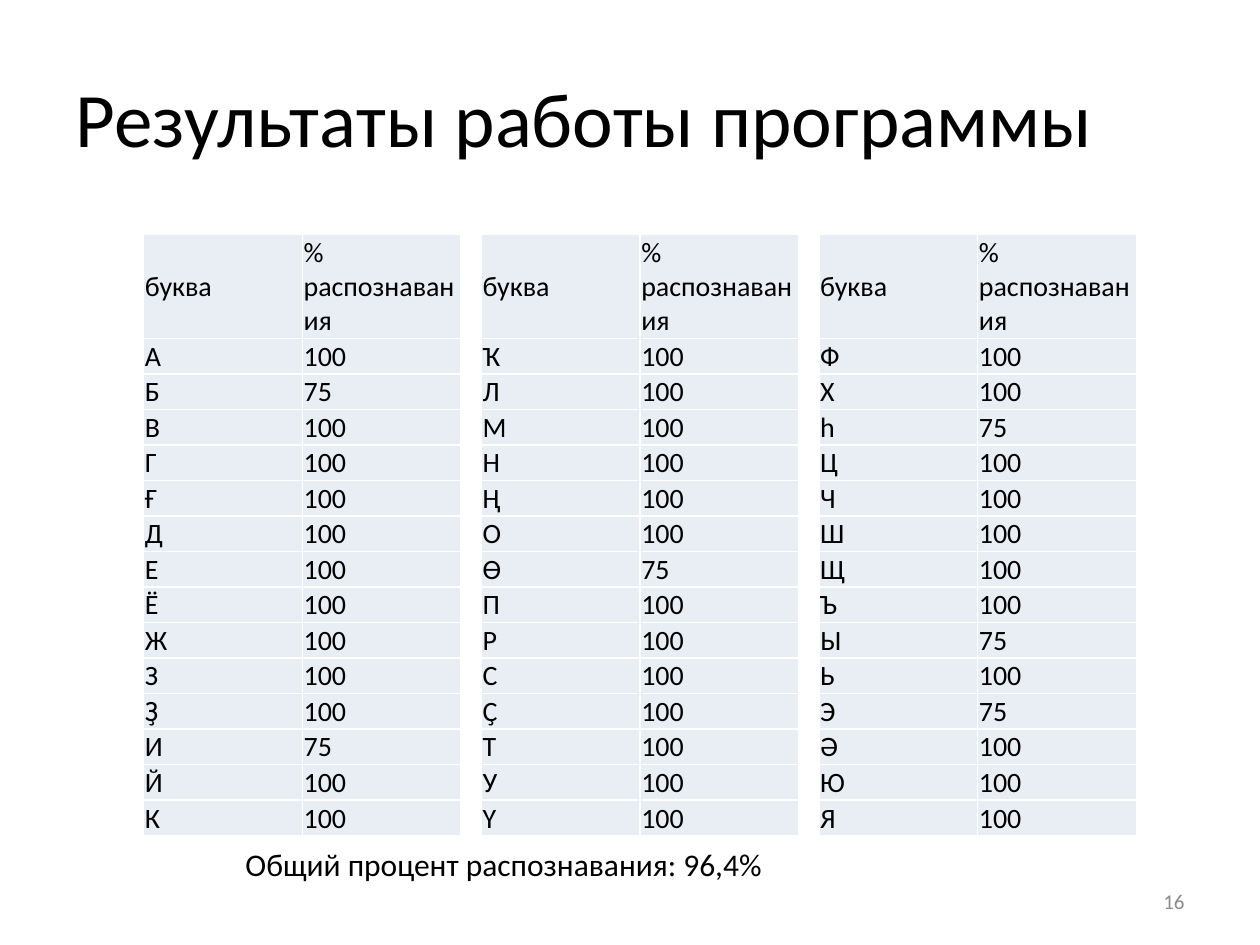
from lxml import etree
from pptx import Presentation
from pptx.dml.color import RGBColor
from pptx.enum.text import MSO_ANCHOR, PP_ALIGN
from pptx.oxml.ns import qn
from pptx.util import Inches, Pt

LEFT, RIGHT, JUSTIFY = PP_ALIGN.LEFT, PP_ALIGN.RIGHT, PP_ALIGN.JUSTIFY
TOP, MIDDLE = MSO_ANCHOR.TOP, MSO_ANCHOR.MIDDLE

BLACK = RGBColor(0x00, 0x00, 0x00)
GRAY = RGBColor(0x8C, 0x8C, 0x8C)
PALE = RGBColor(0xE9, 0xED, 0xF4)
WHITE = RGBColor(0xFF, 0xFF, 0xFF)
FONT = "Calibri"

# Table grid, in inches
GRID_X, GRID_Y, STEP = 1.14, 1.86, 2.68
COL, HEAD_ROW, ROW = 1.26, 0.75, 0.26

HEADS = ("буква", "% распознавания")
GROUPS = ("АБВГҒДЕЁЖЗҘИЙК", "ҠЛМНҢОӨПРСҪТУY", "ФХhЦЧШЩЪЫЬЭӘЮЯ")
WEAK = "БИӨhЫЭ"  # letters recognised at 75 %


def set_text(frame, text, size, color=BLACK, align=LEFT, anchor=MIDDLE):
    frame.text = text
    frame.word_wrap = True
    frame.vertical_anchor = anchor
    para = frame.paragraphs[0]
    para.alignment = align
    font = para.runs[0].font
    font.name, font.size = FONT, Pt(size)
    font.color.rgb = color


def add_title(slide, text):
    title = slide.shapes.title
    title.left, title.top = Inches(0.5), Inches(0.3)
    title.width, title.height = Inches(9), Inches(1.25)
    set_text(title.text_frame, text, 44)


def add_text(slide, text, box, size, **style):
    shape = slide.shapes.add_textbox(*map(Inches, box))
    set_text(shape.text_frame, text, size, **style)


def add_borders(cell):
    props = cell._tc.get_or_add_tcPr()
    for spot, side in enumerate(("lnL", "lnR", "lnT", "lnB")):
        line = etree.Element(qn(f"a:{side}"), w=str(Pt(1)))
        fill = etree.SubElement(line, qn("a:solidFill"))
        etree.SubElement(fill, qn("a:srgbClr"), val=str(WHITE))
        props.insert(spot, line)


def fill_cell(cell, text):
    set_text(cell.text_frame, text, 16, align=JUSTIFY)
    cell.vertical_anchor = MIDDLE
    cell.margin_left = cell.margin_right = cell.margin_top = Inches(0.01)
    cell.margin_bottom = 0
    cell.fill.solid()
    cell.fill.fore_color.rgb = PALE
    add_borders(cell)


def add_scores(slide, index, letters):
    rows = [HEADS] + [(c, "75" if c in WEAK else "100") for c in letters]
    box = (GRID_X + index * STEP, GRID_Y, 2 * COL, HEAD_ROW + ROW * len(letters))
    table = slide.shapes.add_table(len(rows), 2, *map(Inches, box)).table
    table.first_row = table.horz_banding = False
    for r, row in enumerate(rows):
        table.rows[r].height = Inches(ROW if r else HEAD_ROW)
        for c, text in enumerate(row):
            fill_cell(table.cell(r, c), text)


def main():
    deck = Presentation()
    deck.slide_width, deck.slide_height = Inches(10), Inches(7.5)
    slide = deck.slides.add_slide(deck.slide_layouts[5])

    add_title(slide, "Результаты работы программы")

    # One table per third of the alphabet
    for index, letters in enumerate(GROUPS):
        add_scores(slide, index, letters)

    # Summary and page number
    add_text(slide, "Общий процент распознавания: 96,4%",
             (1.85, 6.66, 6.54, 0.4), 18, anchor=TOP)
    add_text(slide, "16", (7.17, 6.95, 2.33, 0.4), 12, color=GRAY, align=RIGHT)

    deck.save("out.pptx")


if __name__ == "__main__":
    main()
